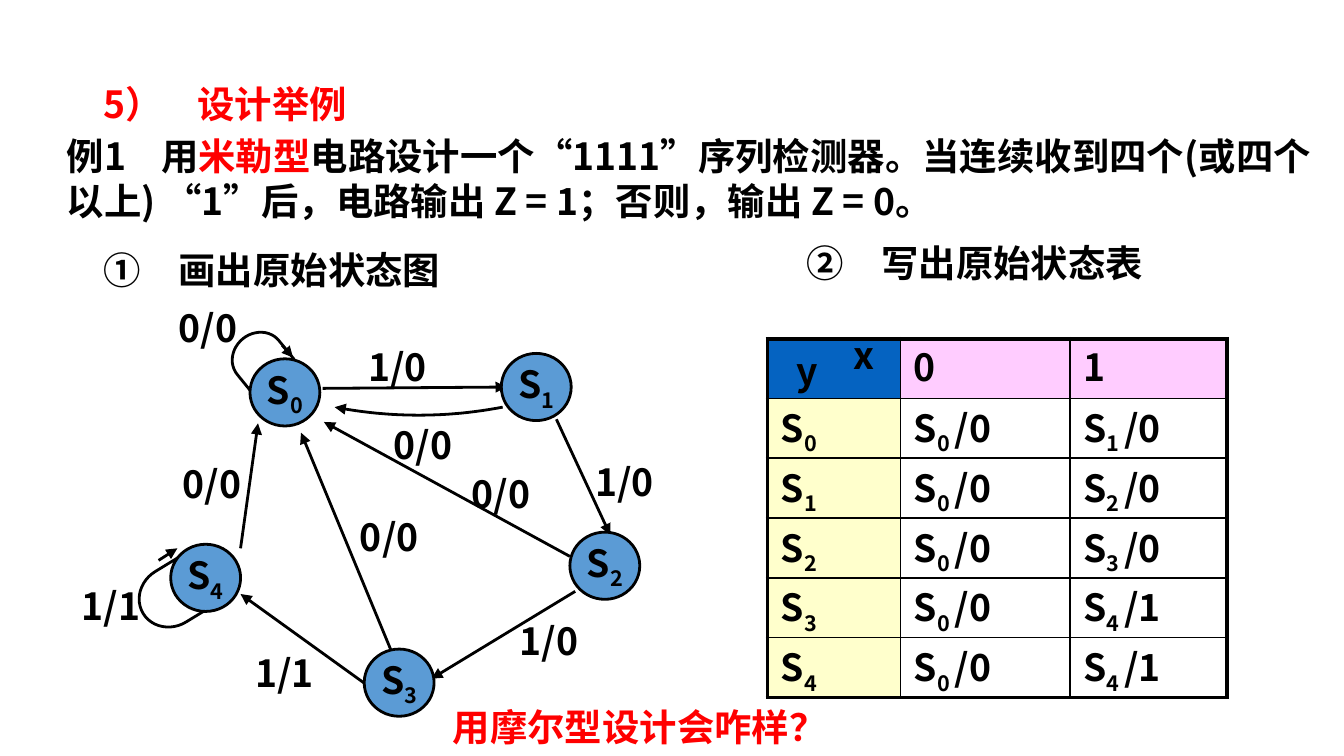
from lxml.etree import SubElement
from pptx import Presentation
from pptx.dml.color import RGBColor
from pptx.enum.shapes import MSO_CONNECTOR as CON, MSO_SHAPE as SHP
from pptx.enum.text import MSO_ANCHOR as ANC, PP_ALIGN as AL
from pptx.oxml.ns import qn
from pptx.util import Inches, Pt

BLACK = RGBColor(0, 0, 0)
RED = RGBColor(0xFF, 0, 0)
WHITE = RGBColor(0xFF, 0xFF, 0xFF)
BLUE = RGBColor(0x5B, 0x9B, 0xD5)
NAVY = RGBColor(0x05, 0x63, 0xC1)
PINK = RGBColor(0xFF, 0xCC, 0xFF)
CREAM = RGBColor(0xFF, 0xFF, 0xCC)
SC = "Noto Sans CJK SC"
JP = "Noto Sans CJK JP"


def write(frame, text, font=SC, color=BLACK, ls=None, num=None, tab=None,
          align=None, anchor=ANC.TOP, wrap=True):
    frame.word_wrap = wrap
    frame.vertical_anchor = anchor
    para = frame.paragraphs[0]
    para.alignment = align
    para.line_spacing = ls
    props = para._p.get_or_add_pPr()
    if num:
        props.set("marL", str(Inches(0.56)))
        props.set("indent", str(-Inches(0.56)))
        SubElement(props, qn("a:buFont"), typeface=JP)
        SubElement(props, qn("a:buAutoNum"), type="circleNumDbPlain",
                   startAt=str(num))
    if tab:
        tabs = SubElement(props, qn("a:tabLst"))
        SubElement(tabs, qn("a:tab"), pos=str(Inches(tab)), algn="l")
    parts = [(text, color)] if isinstance(text, str) else text
    for part, tint in parts:
        for i, bit in enumerate(part.split("_")):
            if not bit:
                continue
            run = para.add_run()
            run.text = bit
            run.font.size = Pt(20)
            run.font.bold = True
            run.font.name = font
            run.font.color.rgb = tint
            look = run._r.get_or_add_rPr()
            SubElement(look, qn("a:ea"), typeface=font)
            if i % 2:
                look.set("baseline", "-25000")


def label(slide, x, y, w, h, text, **fmt):
    box = slide.shapes.add_textbox(Inches(x), Inches(y), Inches(w), Inches(h))
    write(box.text_frame, text, **fmt)


def stroke(shape):
    shape.line.color.rgb = BLACK
    shape.line.width = Pt(1.5)


def tip(shape):
    SubElement(shape.line._get_or_add_ln(), qn("a:tailEnd"), type="triangle")


def arrow(slide, x1, y1, x2, y2):
    line = slide.shapes.add_connector(
        CON.STRAIGHT, Inches(x1), Inches(y1), Inches(x2), Inches(y2))
    stroke(line)
    tip(line)
    SubElement(line._element.spPr, qn("a:effectLst"))


def shape(slide, kind, x, y, w, h, fill=None, turn=0):
    item = slide.shapes.add_shape(
        kind, Inches(x), Inches(y), Inches(w), Inches(h))
    item.shadow.inherit = False
    item.rotation = turn
    stroke(item)
    if fill is None:
        item.fill.background()
    else:
        item.fill.solid()
        item.fill.fore_color.rgb = fill
    return item


def curve(slide, x1, x2, y, sag):
    steps = 24
    spots = [(Inches(x1 + (x2 - x1) * i / steps),
              Inches(y + sag * (1 - (2 * i / steps - 1) ** 2)))
             for i in range(steps + 1)]
    build = slide.shapes.build_freeform(*spots[0])
    build.add_line_segments(spots[1:], close=False)
    arc = build.convert_to_shape()
    arc.shadow.inherit = False
    arc.fill.background()
    stroke(arc)
    tip(arc)


def intro(slide, x, y, w):
    label(slide, x + 0.27, y, 5.25, 0.38, "5）\t设计举例", font=JP, color=RED,
          ls=0.9, tab=0.7, anchor=ANC.MIDDLE)
    label(slide, x, y + 0.34, w, 0.81, [
        ("例1\t用", BLACK), ("米勒型", RED),
        ("电路设计一个“1111”序列检测器。当连续收到四个(或四个以上) "
         "“1”后，电路输出 Z = 1；否则，输出 Z = 0。", BLACK)],
        font=JP, ls=1.0, tab=0.7)


def graph(slide, x, y):
    label(slide, x + 0.17, y - 0.21, 4.17, 0.44, "画出原始状态图", font=JP, num=1)
    loops = [(1.24, 0.46, 0.36, 0.4, 230.9), (0.53, 2.22, 0.48, 0.44, 148.6)]
    for dx, dy, w, h, turn in loops:
        shape(slide, SHP.FLOWCHART_DELAY, x + dx, y + dy, w, h, turn=turn)
    arrows = [
        (3.64, 1.12, 4.04, 1.98), (3.78, 2.4, 2.71, 3.05),
        (2.22, 3.09, 1.29, 2.42), (1.29, 2.08, 1.42, 1.15),
        (1.9, 0.89, 3.27, 0.88), (1.6, 0.57, 1.68, 0.66),
        (2.41, 2.84, 1.74, 1.22), (0.68, 2.17, 0.82, 2.08),
        (3.74, 2.14, 1.91, 1.14)]
    for x1, y1, x2, y2 in arrows:
        arrow(slide, x + x1, y + y1, x + x2, y + y2)
    curve(slide, x + 3.24, x + 1.99, y + 1.03, 0.06)
    nodes = [(1.36, 0.67), (3.23, 0.63), (3.74, 1.96), (2.21, 2.83), (0.77, 2.05)]
    for i, (dx, dy) in enumerate(nodes):
        node = shape(slide, SHP.OVAL, x + dx, y + dy, 0.52, 0.5, BLUE)
        write(node.text_frame, f"S_{i}", align=AL.CENTER, anchor=ANC.MIDDLE,
              wrap=False)
    marks = [
        ("1/0", 3.83, 1.37), ("1/0", 3.27, 2.55), ("1/1", 1.3, 2.79),
        ("0/0", 0.76, 1.38), ("1/0", 2.14, 0.51), ("0/0", 0.73, 0.22),
        ("0/0", 2.33, 1.09), ("0/0", 2.08, 1.78), ("1/1", 0.01, 2.29),
        ("0/0", 2.91, 1.46)]
    for text, dx, dy in marks:
        label(slide, x + dx, y + dy, 0.75, 0.44, text)


def edge(cell, sides):
    props = cell._tc.get_or_add_tcPr()
    for i, (side, bold) in enumerate(sides):
        line = props.makeelement(qn(f"a:ln{side}"),
                                 {"w": str(Pt(2.25 if bold else 1))})
        fill = SubElement(line, qn("a:solidFill"))
        SubElement(fill, qn("a:srgbClr"), val=str(BLACK))
        props.insert(i, line)


def grid(slide, x, y, w, h):
    label(slide, x + 0.19, y - 0.78, 3.58, 0.44, "写出原始状态表", font=JP, num=2)
    moves = ["1 _/0", "2 _/0", "3 _/0", "4 _/1", "4 _/1"]
    rows = [["", "0", "1"]]
    rows += [[f"S_{i}", "S_0 _/0", f"S_{move}"] for i, move in enumerate(moves)]
    table = slide.shapes.add_table(
        len(rows), 3, Inches(x), Inches(y), Inches(w), Inches(h)).table
    for col, size in zip(table.columns, (0.99, 1.26, 1.17)):
        col.width = Inches(size)
    for r, row in enumerate(rows):
        for c, text in enumerate(row):
            cell = table.cell(r, c)
            cell.margin_top = cell.margin_bottom = Inches(0.04)
            cell.fill.solid()
            cell.fill.fore_color.rgb = (
                (PINK if c else NAVY) if r == 0 else (WHITE if c else CREAM))
            write(cell.text_frame, text, ls=0.8)
            cell.vertical_anchor = ANC.MIDDLE
            edge(cell, [("L", c == 0), ("R", c == 2),
                        ("T", r == 0), ("B", r == len(rows) - 1)])
    label(slide, x + 0.54, y - 0.1, 0.67, 0.54, "x")
    label(slide, x + 0.12, y + 0.02, 0.67, 0.54, "y")


def main():
    deck = Presentation()
    deck.slide_width = Inches(10)
    deck.slide_height = deck.slide_width * 9 // 16
    slide = deck.slides.add_slide(deck.slide_layouts[6])
    intro(slide, 0.4, 0.6, 9.48)
    grid(slide, 5.71, 2.52, 3.42, 2.67)
    graph(slide, 0.5, 2)
    label(slide, 3.27, 5.19, 2.94, 0.44, "用摩尔型设计会咋样？", font=JP, color=RED)
    deck.save("out.pptx")


if __name__ == "__main__":
    main()
